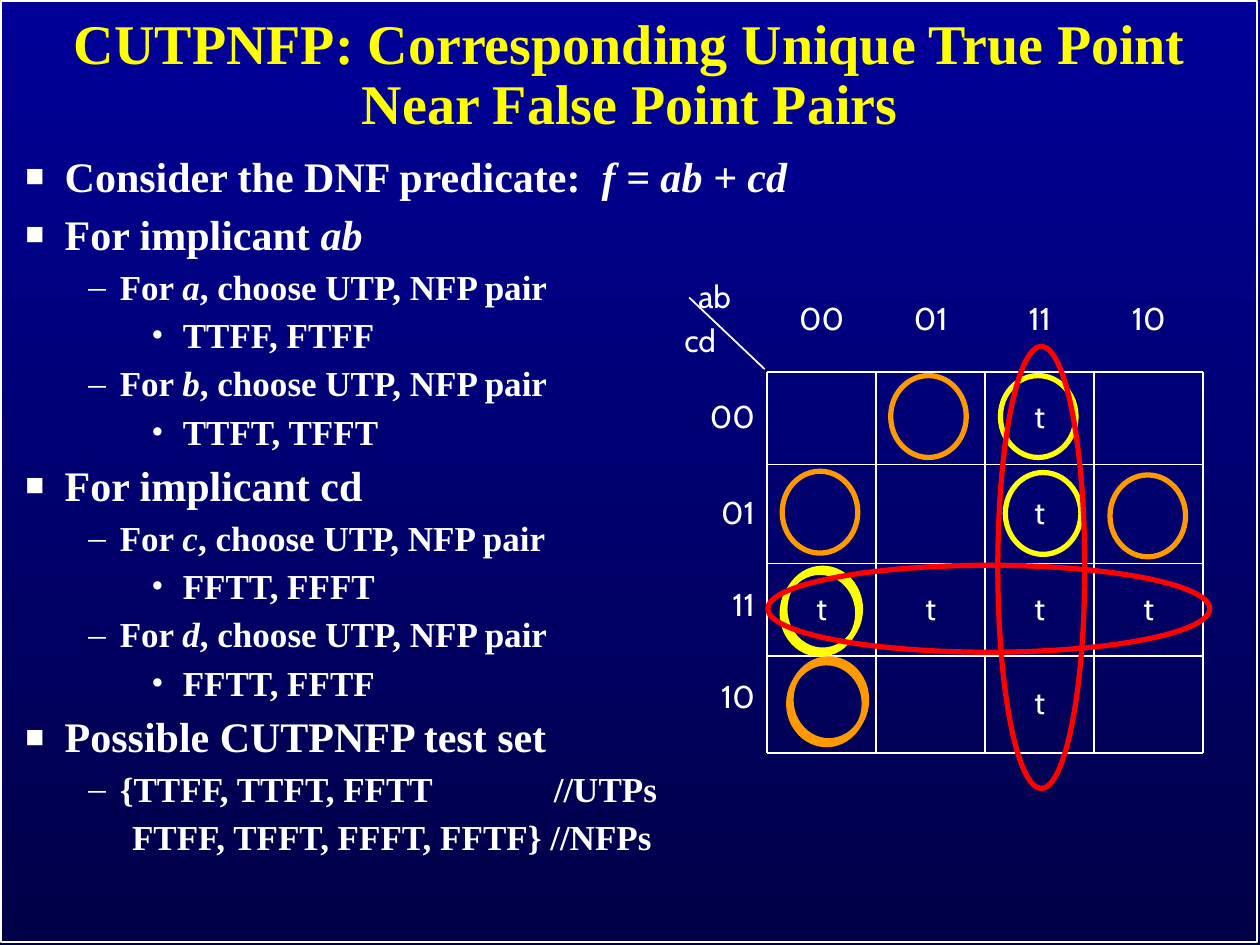
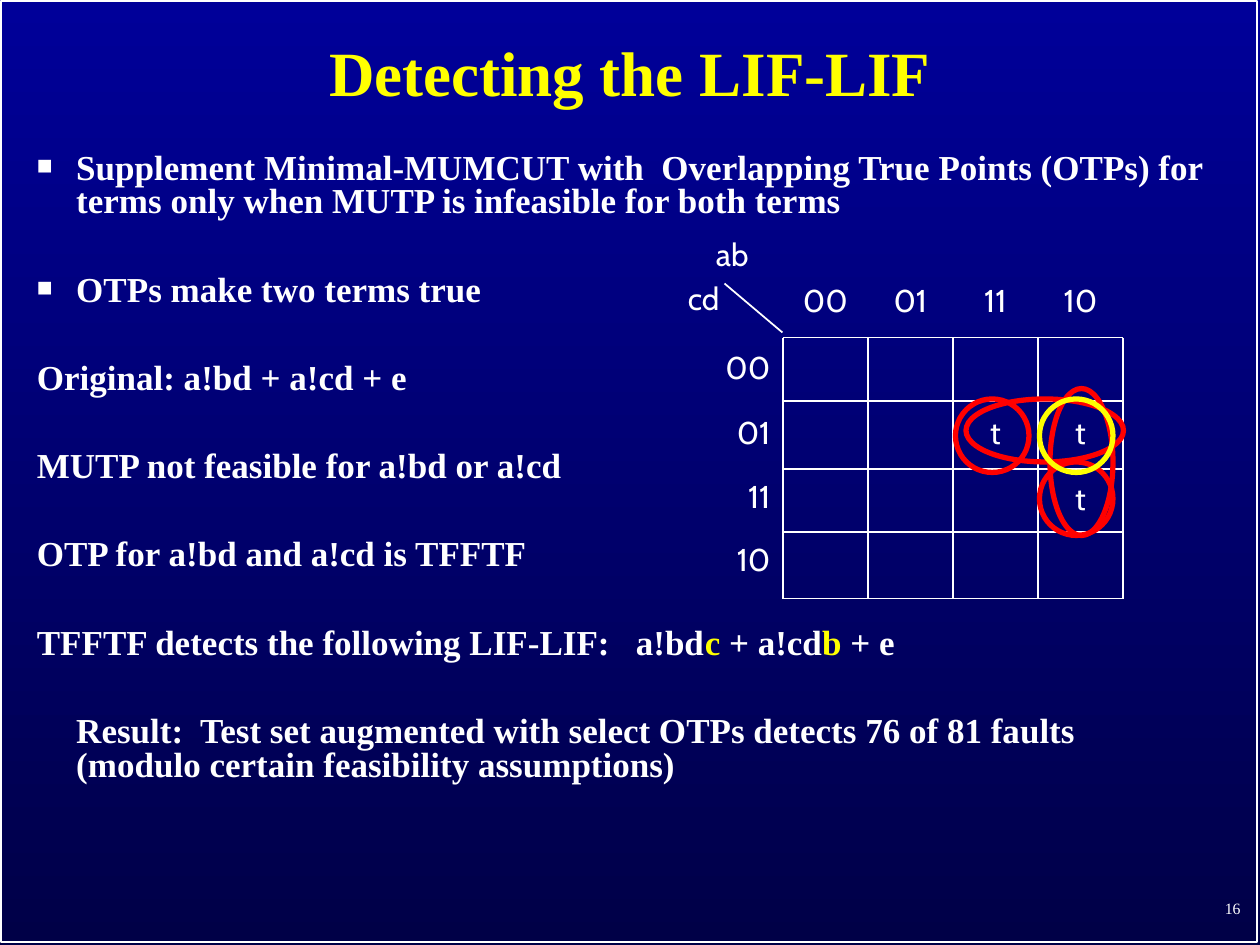
"""Builds two slides on choosing test points with Karnaugh maps."""
from itertools import accumulate

from lxml import etree
from pptx import Presentation
from pptx.dml.color import RGBColor
from pptx.enum.shapes import MSO_CONNECTOR as CONN, MSO_SHAPE as SHAPE
from pptx.enum.text import MSO_ANCHOR as ANCHOR, MSO_AUTO_SIZE as AUTO, PP_ALIGN as ALIGN
from pptx.oxml.ns import qn
from pptx.util import Pt

COLORS = {"top": "000099", "bottom": "000047", "text": "FFFFFF", "title": "FFFF00",
          "true": "FFFF00", "false": "FF9900", "term": "FF0000"}
SERIF, SANS = "Times New Roman", "Cabin"
GRAY_CODE = ["00", "01", "11", "10"]
LEVELS = {
    "head": (24, 22.5, -22.5, "■"),
    "dash": (20, 54, -18, "–"),
    "dot": (20, 90, -18, "•"),
    "more": (20, 61, 0, None),
    "square": (20, 22.5, -22.5, "■"),
    "plain": (20, 0, 0, None),
    "inset": (20, 22.5, 0, None),
}


def rgb(name):
    return RGBColor.from_string(COLORS[name])


def sub(parent, tag, **attrs):
    return etree.SubElement(parent, qn(tag), attrs)


class Deck:
    """Holds the shared style and the slide being drawn."""

    def __init__(self):
        self.prs = Presentation()
        self.prs.slide_width, self.prs.slide_height = Pt(720), Pt(540)
        fill = self.prs.slide_master.background.fill
        fill.gradient()
        fill.gradient_angle = 270
        for stop, name in zip(fill.gradient_stops, ("top", "bottom")):
            stop.color.rgb = rgb(name)

    def font(self, run, size, face=SERIF, color="text", bold=False):
        f = run.font
        f.size, f.name, f.bold = Pt(size), face, bold
        f.color.rgb = rgb(color)

    def slide(self, title, size):
        self.s = self.prs.slides.add_slide(self.prs.slide_layouts[5])
        self.outline(SHAPE.RECTANGLE, 0.7, 0.7, 717.8, 537.8, "text", 1)
        sp = self.s.shapes.title
        sp.left, sp.top, sp.width, sp.height = Pt(7), Pt(7.5), Pt(706), Pt(72)
        tf = sp.text_frame
        tf.text = title
        tf.auto_size, tf.vertical_anchor = AUTO.NONE, ANCHOR.MIDDLE
        p = tf.paragraphs[0]
        p.alignment, p.line_spacing = ALIGN.CENTER, 0.9
        self.font(p.runs[0], size, color="title", bold=True)

    def outline(self, kind, x, y, w, h, color, weight):
        sp = self.s.shapes.add_shape(kind, Pt(x), Pt(y), Pt(w), Pt(h))
        sp.shadow.inherit = False
        sp.fill.background()
        sp.line.color.rgb = rgb(color)
        sp.line.width = Pt(weight)

    def rings(self, color, w, h, *corners):
        for x, y in corners:
            self.outline(SHAPE.OVAL, x, y, w, h, color, 3)

    def line(self, x1, y1, x2, y2):
        cx = self.s.shapes.add_connector(CONN.STRAIGHT, Pt(x1), Pt(y1), Pt(x2), Pt(y2))
        cx.line.color.rgb = rgb("text")
        cx.line.width = Pt(1)
        sub(cx._element.spPr, "a:effectLst")

    def box(self, x, y, w, h, anchor=ANCHOR.TOP):
        tf = self.s.shapes.add_textbox(Pt(x), Pt(y), Pt(w), Pt(h)).text_frame
        tf.word_wrap, tf.vertical_anchor = True, anchor
        return tf

    def paragraph(self, tf, first, size, spacing, extra=0):
        p = tf.paragraphs[0] if first else tf.add_paragraph()
        p.line_spacing = spacing
        p.space_before = Pt(0 if first else round(0.3 * size + extra, 1))
        return p

    def body(self, x, y, items, spacing, extra=0, accent=None):
        tf = self.box(x, y, 706, 417)
        for i, (level, text) in enumerate(items):
            size, margin, indent, bullet = LEVELS[level]
            p = self.paragraph(tf, i == 0, size, spacing, extra)
            start, *parts = text.split("*")
            p.text = start
            for r in p.runs:
                self.font(r, size, bold=True)
            for n, part in enumerate(parts):
                r = p.add_run()
                r.text = part
                marked = n % 2 == 0
                self.font(r, size, color=accent if marked and accent else "text", bold=True)
                r.font.italic = marked and not accent
            pPr = p._p.get_or_add_pPr()
            pPr.set("marL", str(Pt(margin)))
            pPr.set("indent", str(Pt(indent)))
            if bullet:
                sub(pPr, "a:buSzPct", val="75000" if bullet == "■" else "100000")
                sub(pPr, "a:buFont", typeface=SERIF)
                sub(pPr, "a:buChar", char=bullet)
            else:
                sub(pPr, "a:buNone")
            if "\t" in text:
                sub(sub(pPr, "a:tabLst"), "a:tab", pos=str(Pt(302)), algn="l")

    def axes(self, x, y, w, h, ab_indent, diagonal):
        tf = self.box(x, y, w, h, ANCHOR.MIDDLE)
        for i, (name, indent) in enumerate((("ab", ab_indent), ("cd", 8))):
            p = self.paragraph(tf, i == 0, 18, 0.9)
            p.text = name
            p._p.get_or_add_pPr().set("marL", str(Pt(indent)))
            self.font(p.runs[0], 18, SANS)
        self.line(*diagonal)

    def mark(self, text, x, y, w, h, align=ALIGN.CENTER):
        p = self.paragraph(self.box(x, y, w, h, ANCHOR.MIDDLE), True, 18, 0.9)
        p.text = text
        p.alignment = align
        self.font(p.runs[0], 18, SANS)

    def kmap(self, x, y, col_width, header, row_heights, label_lifts, true_cells):
        xs = [x + i * col_width for i in range(len(GRAY_CODE) + 1)]
        ys = list(accumulate(row_heights, initial=y))
        for left, ab in zip(xs, GRAY_CODE):
            self.mark(ab, left, y - header, col_width, header)
        for top, height, lift, cd in zip(ys, row_heights, label_lifts, GRAY_CODE):
            self.mark(cd, x - col_width, top - lift, col_width, height, ALIGN.RIGHT)
            for left, ab in zip(xs, GRAY_CODE):
                if (ab, cd) in true_cells:
                    self.mark("t", left, top, col_width, height)
        for half in (ys[:3], ys[2:]):
            for left in xs:
                self.line(left, half[0], left, half[-1])
            for top in half:
                self.line(xs[0], top, xs[-1], top)

    def number(self, text):
        tf = self.box(567, 504.5, 149, 29, ANCHOR.MIDDLE)
        tf.text = text
        p = tf.paragraphs[0]
        p.alignment = ALIGN.RIGHT
        self.font(p.runs[0], 9)


def pair_slide(deck):
    deck.slide("CUTPNFP: Corresponding Unique True Point Near False Point Pairs", 32)
    choose = "For *{}*, choose UTP, NFP pair".format
    deck.body(7.4, 85.6, [
        ("head", "Consider the DNF predicate:  *f = ab + cd*"),
        ("head", "For implicant *ab*"),
        ("dash", choose("a")), ("dot", "TTFF, FTFF"),
        ("dash", choose("b")), ("dot", "TTFT, TFFT"),
        ("head", "For implicant cd"),
        ("dash", choose("c")), ("dot", "FFTT, FFFT"),
        ("dash", choose("d")), ("dot", "FFTT, FFTF"),
        ("head", "Possible CUTPNFP test set"),
        ("dash", "{TTFF, TTFT, FFTT\t//UTPs"),
        ("more", "FTFF, TFFT, FFFT, FFTF} //NFPs"),
    ], 0.9)
    true_cells = {(ab, cd) for ab in GRAY_CODE for cd in GRAY_CODE if "11" in (ab, cd)}
    deck.kmap(438.4, 212.4, 62.3, 59, [53.1, 56.5, 53, 55.4], [0, 0, 1.8, 3.6], true_cells)
    deck.axes(376, 153.6, 62.3, 59, 16, (393.8, 170, 437, 211))
    deck.rings("true", 43.2, 46.8, (574.5, 270), (571.7, 214.6), (447, 327), (448.5, 324.7))
    deck.rings("false", 43.2, 46.8, (634.3, 271.4), (447, 269.3), (452, 376.5),
               (509, 214.6), (450.7, 378.7))
    deck.rings("term", 49.7, 252.5, (570.2, 198))
    deck.rings("term", 252.5, 49.7, (438.8, 323))


def overlap_slide(deck):
    deck.slide("Detecting the LIF-LIF", 36)
    deck.number("16")
    deck.body(14, 84.1, [
        ("square", "Supplement Minimal-MUMCUT with  Overlapping True Points (OTPs) for "
                   "terms only when MUTP is infeasible for both terms"),
        ("square", "OTPs make two terms true"),
        ("plain", "Original: a!bd + a!cd + e"),
        ("plain", "MUTP not feasible for a!bd or a!cd"),
        ("plain", "OTP for a!bd and a!cd is TFFTF"),
        ("plain", "TFFTF detects the following LIF-LIF:   a!bd*c* + a!cd*b* + e"),
        ("inset", "Result:  Test set augmented with select OTPs detects 76 of 81 faults\v"
                  "(modulo certain feasibility assumptions)"),
    ], 0.8, extra=25.2, accent="title")
    deck.kmap(447.3, 192.9, 48.6, 40.4, [36.1, 38.9, 36, 38.1], [0, 0, 1, 2.2],
              {("11", "01"), ("10", "01"), ("10", "11")})
    deck.axes(378, 132, 84, 54, 24, (414, 162, 447.1, 190))
    deck.rings("term", 90, 36, (552, 228))
    deck.rings("term", 36, 84, (600, 222))
    deck.rings("term", 42, 42, (594, 264), (546, 228))
    deck.rings("true", 42, 42, (594, 228))


def main():
    deck = Deck()
    pair_slide(deck)
    overlap_slide(deck)
    deck.prs.save("out.pptx")


if __name__ == "__main__":
    main()
